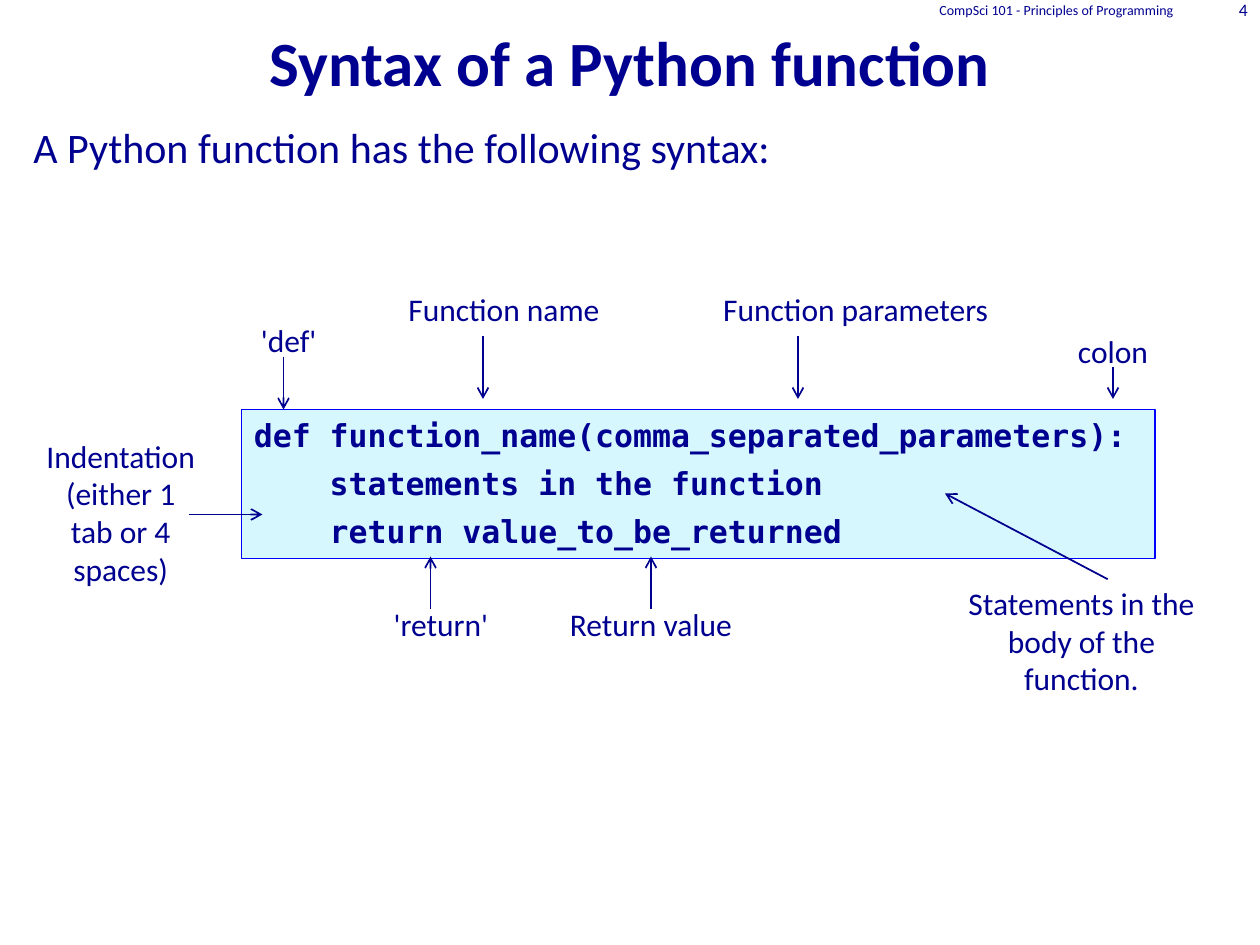
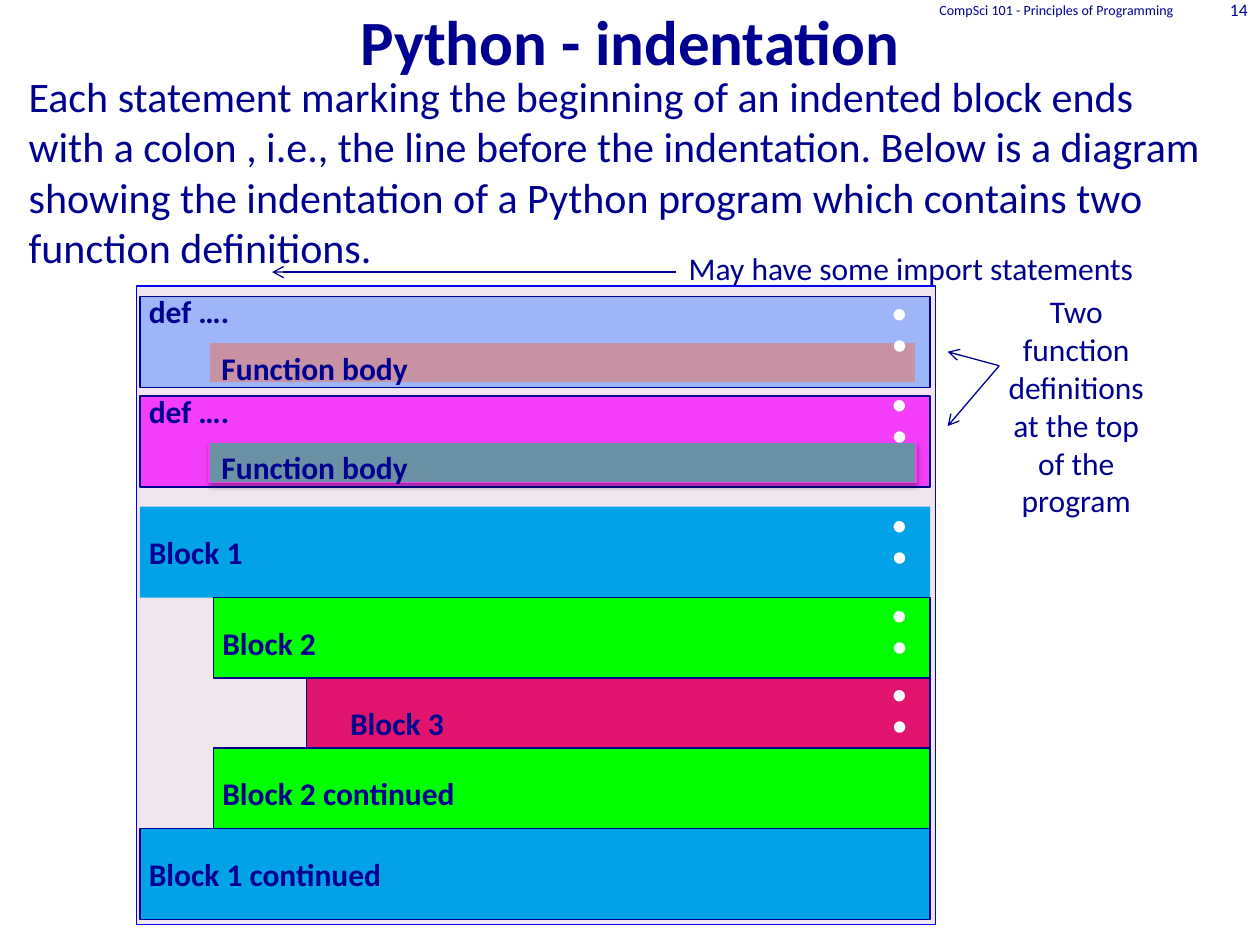
from lxml import etree
from pptx import Presentation
from pptx.dml.color import RGBColor
from pptx.enum.shapes import MSO_CONNECTOR, MSO_SHAPE
from pptx.enum.text import MSO_ANCHOR, PP_ALIGN
from pptx.oxml.ns import qn
from pptx.util import Pt

LEFT, CENTER, RIGHT = PP_ALIGN.LEFT, PP_ALIGN.CENTER, PP_ALIGN.RIGHT
TOP, MIDDLE, BOTTOM = MSO_ANCHOR.TOP, MSO_ANCHOR.MIDDLE, MSO_ANCHOR.BOTTOM
RECTANGLE, STRAIGHT = MSO_SHAPE.RECTANGLE, MSO_CONNECTOR.STRAIGHT

NAVY = RGBColor(0x00, 0x00, 0x90)
BLUE = RGBColor(0x00, 0x00, 0xFF)
WHITE = RGBColor(0xFF, 0xFF, 0xFF)
CODE_FILL = RGBColor(0xD7, 0xF7, 0xFF)
PROGRAM_FILL = RGBColor(0xF1, 0xE5, 0xF0)
PERIWINKLE = RGBColor(0x9C, 0xB6, 0xF9)
MAGENTA = RGBColor(0xF5, 0x3E, 0xF9)
ROSE = RGBColor(0xC9, 0x92, 0xA4)
TEAL = RGBColor(0x6A, 0x92, 0xA4)
SKY = RGBColor(0x02, 0xA2, 0xE9)
GREEN = RGBColor(0x00, 0xFF, 0x00)
CRIMSON = RGBColor(0xE1, 0x14, 0x6D)

TEXT_FONT, CODE_FONT = "Calibri", "DejaVu Sans Mono"
LABEL_SIZE = 18
COURSE = "CompSci 101 - Principles of Programming"


def format_paragraph(paragraph, size, color=NAVY, bold=False, align=LEFT, font=TEXT_FONT):
    """Set the alignment of a paragraph and the font of its runs."""
    paragraph.alignment = align
    for run in paragraph.runs:
        run.font.name = font
        run.font.size = Pt(size)
        run.font.bold = bold
        run.font.color.rgb = color


def add_text(slide, box, text, size=LABEL_SIZE, anchor=TOP, **style):
    """Add a wrapping text box holding one paragraph."""
    shape = slide.shapes.add_textbox(*map(Pt, box))
    text_frame = shape.text_frame
    text_frame.word_wrap = True
    text_frame.vertical_anchor = anchor
    text_frame.text = text
    format_paragraph(text_frame.paragraphs[0], size, **style)
    return shape


def add_rectangle(slide, box, fill, line=None):
    """Add a flat rectangle, outlined when a line colour is given."""
    shape = slide.shapes.add_shape(RECTANGLE, *map(Pt, box))
    shape.shadow.inherit = False
    shape.fill.solid()
    shape.fill.fore_color.rgb = fill
    if line is None:
        shape.line.fill.background()
    else:
        shape.line.color.rgb = line
        shape.line.width = Pt(0.75)
    return shape


def add_arrow(slide, start, end, width=0.75):
    """Add a straight line with an open arrowhead at its end."""
    arrow = slide.shapes.add_connector(STRAIGHT, *map(Pt, (*start, *end)))
    arrow.line.color.rgb = NAVY
    arrow.line.width = Pt(width)
    etree.SubElement(arrow.line._get_or_add_ln(), qn("a:tailEnd"), type="arrow")
    etree.SubElement(arrow._element.spPr, qn("a:effectLst"))
    return arrow


def add_soft_shadow(shape):
    """Give a shape a faint shadow below it."""
    effects = shape._element.spPr.find(qn("a:effectLst"))
    shadow = etree.SubElement(effects, qn("a:outerShdw"), blurRad=str(Pt(3.1)),
                              dist=str(Pt(1.8)), dir="5400000", rotWithShape="0")
    color = etree.SubElement(shadow, qn("a:srgbClr"), val="000000")
    etree.SubElement(color, qn("a:alpha"), val="35000")


def add_base_slide(presentation, number, title, title_box, body, body_box):
    """Add a slide with its title, body text, course name and number."""
    slide = presentation.slides.add_slide(presentation.slide_layouts[6])
    add_text(slide, title_box, title, 36, BOTTOM, bold=True, align=CENTER)
    body_shape = add_text(slide, body_box, body, 24)
    body_shape.text_frame.paragraphs[0].space_before = Pt(4.8)
    for left, width, text, size in ((462, 216, COURSE, 8), (678, 42, str(number), 10)):
        shape = add_text(slide, (left, -0.6, width, 12), text, size, MIDDLE, align=RIGHT)
        shape.text_frame.margin_top = shape.text_frame.margin_bottom = 0
    return slide


def add_code(slide, box):
    """Add the code panel, with the function body indented by four characters."""
    shape = add_rectangle(slide, box, CODE_FILL, BLUE)
    text_frame = shape.text_frame
    text_frame.word_wrap = True
    text_frame.vertical_anchor = TOP
    text_frame.text = ("def function_name(comma_separated_parameters):\n"
                       "statements in the function\n"
                       "return value_to_be_returned")
    for paragraph in text_frame.paragraphs:
        paragraph.space_before = Pt(6)
        format_paragraph(paragraph, LABEL_SIZE, bold=True, font=CODE_FONT)
    for paragraph in text_frame.paragraphs[1:]:
        paragraph._p.get_or_add_pPr().set("marL", str(Pt(43.35)))


def add_syntax_diagram(slide, box):
    """Draw the code panel and the labels pointing at its parts."""
    left, top, width, height = box
    add_code(slide, (left + 120, top + 72, 522, 85))
    labels = (
        ("Function name", 198, 0, 144, 29),
        ("Function parameters", 366, 0, 210, 29),
        ("colon", 576, 24, 84, 29),
        ("'def'", 111, 18, 72, 29),
        ("Indentation (either 1 tab or 4 spaces)", 0, 84, 102, 94),
        ("Return value", 282, 180, 144, 29),
        ("'return'", 192, 180, 84, 30),
        ("Statements in the body of the function.", 528, 168, width - 528, height - 168),
    )
    for text, x, y, label_width, label_height in labels:
        add_text(slide, (left + x, top + y, label_width, label_height), text, align=CENTER)
    arrows = (
        (258, 30, 258, 66), (438, 30, 438, 66), (618, 48, 618, 66),
        (144, 42, 144, 72), (90, 132, 132, 132),
        (228, 186, 228, 156), (354, 186, 354, 156), (615, 169, 522, 120),
    )
    for x1, y1, x2, y2 in arrows:
        add_arrow(slide, (left + x1, top + y1), (left + x2, top + y2), 1)


def add_block(slide, box, fill, line, label, label_shift):
    """Draw one block of the program and its label."""
    left, top, width, height = box
    x, y = label_shift
    add_rectangle(slide, box, fill, line)
    add_text(slide, (left + x, top + y, 172, 28), label, bold=True)


def add_definition(slide, box, fill, body_fill, shadow):
    """Draw a function definition with its body inside."""
    left, top, width, height = box
    add_block(slide, box, fill, NAVY, "def ….", (-2, -6))
    body = add_rectangle(slide, (left + 39.5, top + 26.3, 404, 23), body_fill, fill)
    if shadow:
        add_soft_shadow(body)
    add_text(slide, (left + 39.5, top + 26.3, 155, 28), "Function body", bold=True)


def add_program(slide, box):
    """Draw the nested blocks of the program, flush at the right."""
    left, top, width, height = box
    add_rectangle(slide, box, PROGRAM_FILL, BLUE)
    right = left + width - 3

    def block_box(indent, y, block_height):
        return left + indent, y, right - left - indent, block_height

    definitions = ((6, PERIWINKLE, ROSE, False), (62.8, MAGENTA, TEAL, True))
    for y, fill, body_fill, shadow in definitions:
        add_definition(slide, block_box(2, top + y, 52), fill, body_fill, shadow)

    blocks = (
        ("Block 1", 2, 52, SKY, None, -2),
        ("Block 2", 44, 46, GREEN, NAVY, -2),
        ("Block 3", 97, 40, CRIMSON, NAVY, 18),
        ("Block 2 continued", 44, 46, GREEN, NAVY, -2),
        ("Block 1 continued", 2, 52, SKY, NAVY, -2),
    )
    y = top + 126
    for label, indent, block_height, fill, line, label_x in blocks:
        add_block(slide, block_box(indent, y, block_height), fill, line, label, (label_x, 11.5))
        y += block_height

    for colon_y in (-20, 32, 101, 152.5, 197.5):
        add_text(slide, (right - 31.5, top + colon_y, 29.5, 70), ":", 54, color=WHITE)


def add_program_notes(slide, box):
    """Add the two notes beside the program, with their arrows."""
    left, top, width, height = box
    imports = add_text(slide, (left + 231, top, 285, 33), "May have some import statements")
    import_arrow = add_arrow(slide, (left + 231, top + 16.5), (left, top + 16.5))
    import_arrow.begin_connect(imports, 1)
    add_text(slide, (left + 409, top + 24.5, width - 409, height - 24.5),
             "Two function definitions at the top of the program", align=CENTER)
    for y in (62, 104.5):
        add_arrow(slide, (left + 415.5, top + 70), (left + 386, top + y))


def main():
    """Build both slides and save the presentation."""
    presentation = Presentation()
    presentation.slide_width, presentation.slide_height = Pt(720), Pt(540)

    syntax = add_base_slide(
        presentation, 4, "Syntax of a Python function", (0, 0, 720, 60),
        "A Python function has the following syntax:", (12, 66, 708, 432))
    add_syntax_diagram(syntax, (18, 162, 672, 241))

    indentation = add_base_slide(
        presentation, 14, "Python - indentation", (0, -6, 720, 54),
        "Each statement marking the beginning of an indented block ends with a colon , "
        "i.e., the line before the indentation. Below is a diagram showing the "
        "indentation of a Python program which contains two function definitions.",
        (9.3, 36.7, 690, 369))
    add_program(indentation, (78, 163.5, 456.5, 365))
    add_program_notes(indentation, (155.5, 139, 510, 156))

    presentation.save("out.pptx")


if __name__ == "__main__":
    main()
